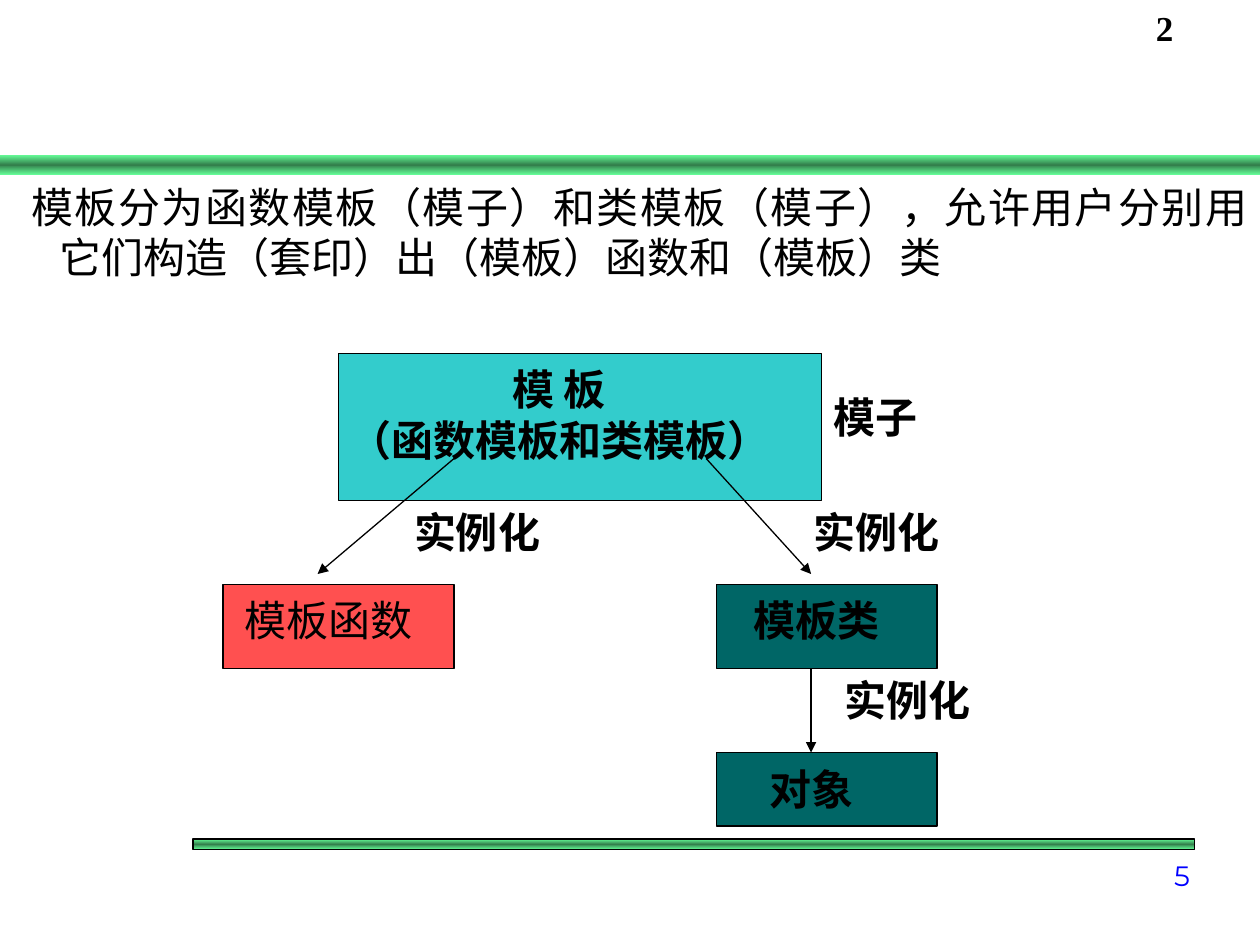
import pptx
import pptx.util
import pptx.dml.color
import pptx.enum.shapes
import pptx.enum.text
import pptx.oxml.ns
import copy
import lxml.etree

Pt = pptx.util.Pt
Rgb = pptx.dml.color.RGBColor
Align = pptx.enum.text.PP_ALIGN
Anchor = pptx.enum.text.MSO_ANCHOR
Kind = pptx.enum.shapes.MSO_SHAPE
qn = pptx.oxml.ns.qn

HEX = {"black": "000000", "blue": "0000FF", "light": "66FF99", "dark": "337F4C",
       "cyan": "33CCCC", "red": "FF5050", "teal": "006666"}
NOTO = "Noto Sans CJK SC"
LEFT, MID, RIGHT = Align.LEFT, Align.CENTER, Align.RIGHT

INTRO = [("模板分为函数模板（", NOTO), ("模子", "Arial"), ("）和类模板（", NOTO),
         ("模子", "Arial"), ("），允许用户分别用它们构造（", NOTO),
         ("套印）出", "Arial"), ("（模板）函数和（模板）类", NOTO)]
BARS = [((0, 88.5, 720, 11.5), None), ((110.2, 479.5, 572.4, 6), 1)]
BOXES = [((193.5, 202, 276, 84), "cyan"), ((127.5, 334, 132, 48), "red"),
         ((409.5, 334, 126, 48), "teal"), ((409.5, 430, 126, 42), "teal")]
NAMES = [((193.5, 208, 252, 58), ["模 板", "（函数模板和类模板）"], MID, True, None),
         ((139.5, 340, 97, 29), ["模板函数"], LEFT, False, None),
         ((415.5, 340, 102, 29), ["模板类"], MID, True, "teal"),
         ((421.5, 436, 84, 29), ["对象"], MID, True, None)]
ARROWS = [(259.5, 262, 181.5, 328), (403.5, 262, 463.5, 328), (463.5, 382, 463.5, 430)]
STEP = "实例化"
LABELS = [((229.5, 286, 90, 36), STEP, NOTO), ((475.5, 382, 90, 36), STEP, NOTO),
          ((457.5, 286, 90, 36), STEP, NOTO), ((469.5, 220, 72, 36), "模子", "Arial")]


def color(key):
    return Rgb.from_string(HEX[key])


def style(run, face, size=24, bold=False, key="black"):
    font = run.font
    font.name, font.size, font.bold = face, Pt(size), bold
    font.color.rgb = color(key)
    east = lxml.etree.Element(qn("a:ea"), typeface=face)
    run._r.rPr.find(qn("a:latin")).addnext(east)


def block(slide, spot, line):
    shape = slide.shapes.add_shape(Kind.RECTANGLE, *map(Pt, spot))
    shape.shadow.inherit = False
    if line:
        shape.line.color.rgb = color("black")
        shape.line.width = Pt(line)
    else:
        shape.line.fill.background()
    return shape


def bar(slide, spot, line):
    fill = block(slide, spot, line).fill
    fill.gradient()
    fill.gradient_angle = 90
    first, last = fill.gradient_stops
    first.position, last.position = 0, 1
    first.color.rgb = last.color.rgb = color("light")
    node = first._gs
    node.addnext(copy.deepcopy(node))
    middle = fill.gradient_stops[1]
    middle.position = 0.5
    middle.color.rgb = color("dark")


def write(slide, spot, lines, face=NOTO, size=24, bold=True, key="black",
          align=LEFT, inset=(7.2, 3.6), back=None, anchor=Anchor.TOP):
    box = slide.shapes.add_textbox(*map(Pt, spot))
    if back:
        box.fill.solid()
        box.fill.fore_color.rgb = color(back)
    frame = box.text_frame
    frame.word_wrap = True
    frame.vertical_anchor = anchor
    frame.margin_left = frame.margin_right = Pt(inset[0])
    frame.margin_top = frame.margin_bottom = Pt(inset[1])
    frame.text = "\n".join(lines)
    for para in frame.paragraphs:
        para.alignment = align
        style(para.runs[0], face, size, bold, key)


def intro(slide):
    body = slide.placeholders[1]
    body.left, body.top, body.width, body.height = map(Pt, (0, 100, 720, 440))
    frame = body.text_frame
    frame.auto_size = pptx.enum.text.MSO_AUTO_SIZE.NONE
    frame.vertical_anchor = Anchor.TOP
    para = frame.paragraphs[0]
    para.alignment = Align.JUSTIFY
    para.space_before = Pt(6)
    para.line_spacing = 1.0
    prop = para._p.get_or_add_pPr()
    prop.set("marL", str(Pt(27)))
    prop.set("indent", str(Pt(-16.2)))
    lxml.etree.SubElement(prop, qn("a:buNone"))
    for text, face in INTRO:
        run = para.add_run()
        run.text = text
        style(run, face)


def arrow(slide, ends):
    link = slide.shapes.add_connector(
        pptx.enum.shapes.MSO_CONNECTOR.STRAIGHT, *map(Pt, ends))
    link.line.color.rgb = color("black")
    link.line.width = Pt(0.75)
    lxml.etree.SubElement(link.line._get_or_add_ln(), qn("a:tailEnd"), type="triangle")
    lxml.etree.SubElement(link._element.spPr, qn("a:effectLst"))


def main():
    deck = pptx.Presentation()
    deck.slide_width, deck.slide_height = Pt(720), Pt(540)
    slide = deck.slides.add_slide(deck.slide_layouts[1])
    title = slide.shapes.title._element
    title.getparent().remove(title)
    for spot, line in BARS:
        bar(slide, spot, line)
    write(slide, (630, 485.5, 57, 28), ["5"], "Montserrat", 16, False, "blue", RIGHT,
          anchor=Anchor.BOTTOM)
    intro(slide)
    for spot, key in BOXES:
        fill = block(slide, spot, 0.75).fill
        fill.solid()
        fill.fore_color.rgb = color(key)
    for spot, lines, align, bold, back in NAMES:
        write(slide, spot, lines, bold=bold, align=align, inset=(0, 0), back=back)
    for ends in ARROWS:
        arrow(slide, ends)
    for spot, text, face in LABELS:
        write(slide, spot, [text], face)
    write(slide, (653.5, 0, 30, 31.5), ["2"], "Times New Roman", 20)
    deck.save("out.pptx")


if __name__ == "__main__":
    main()
